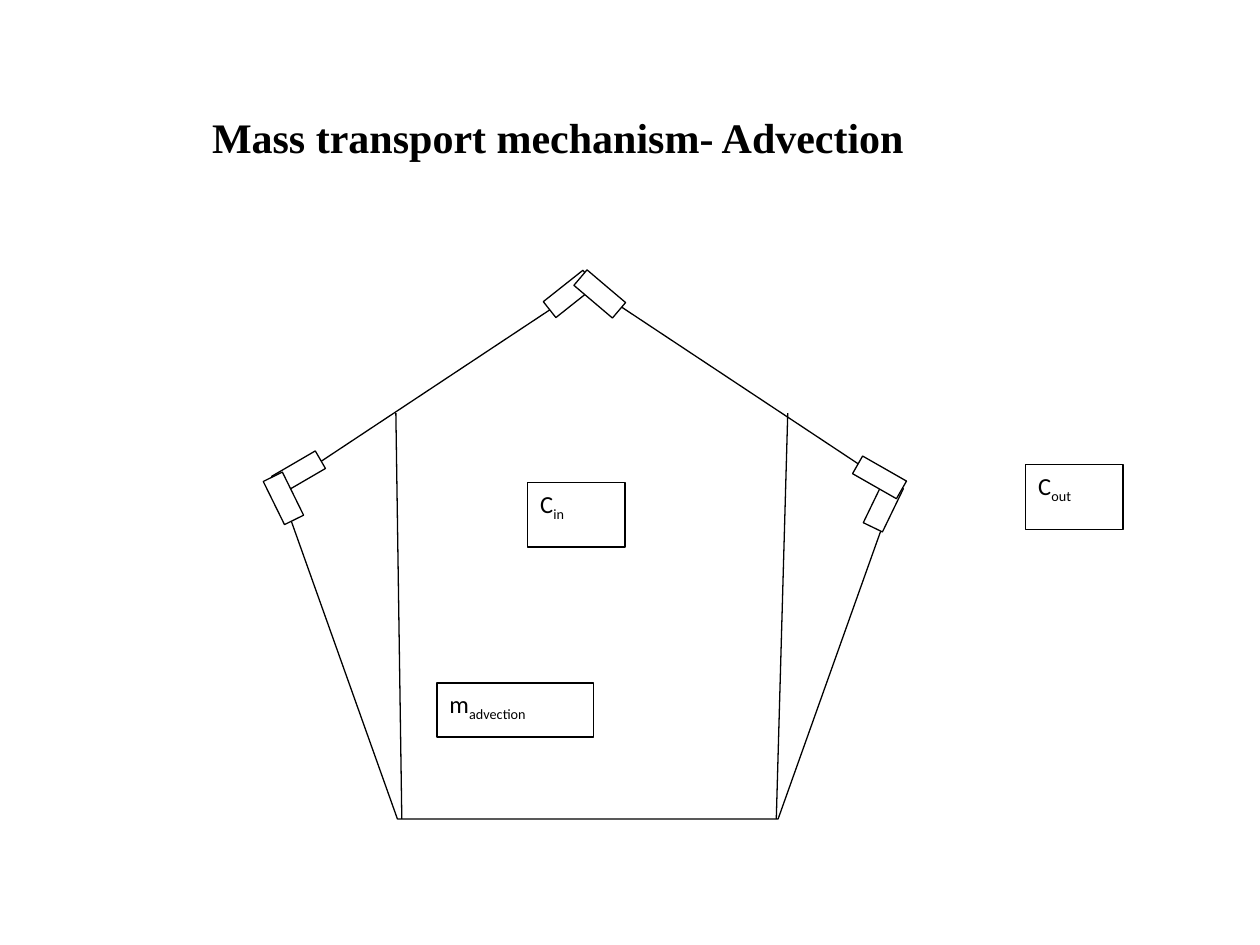
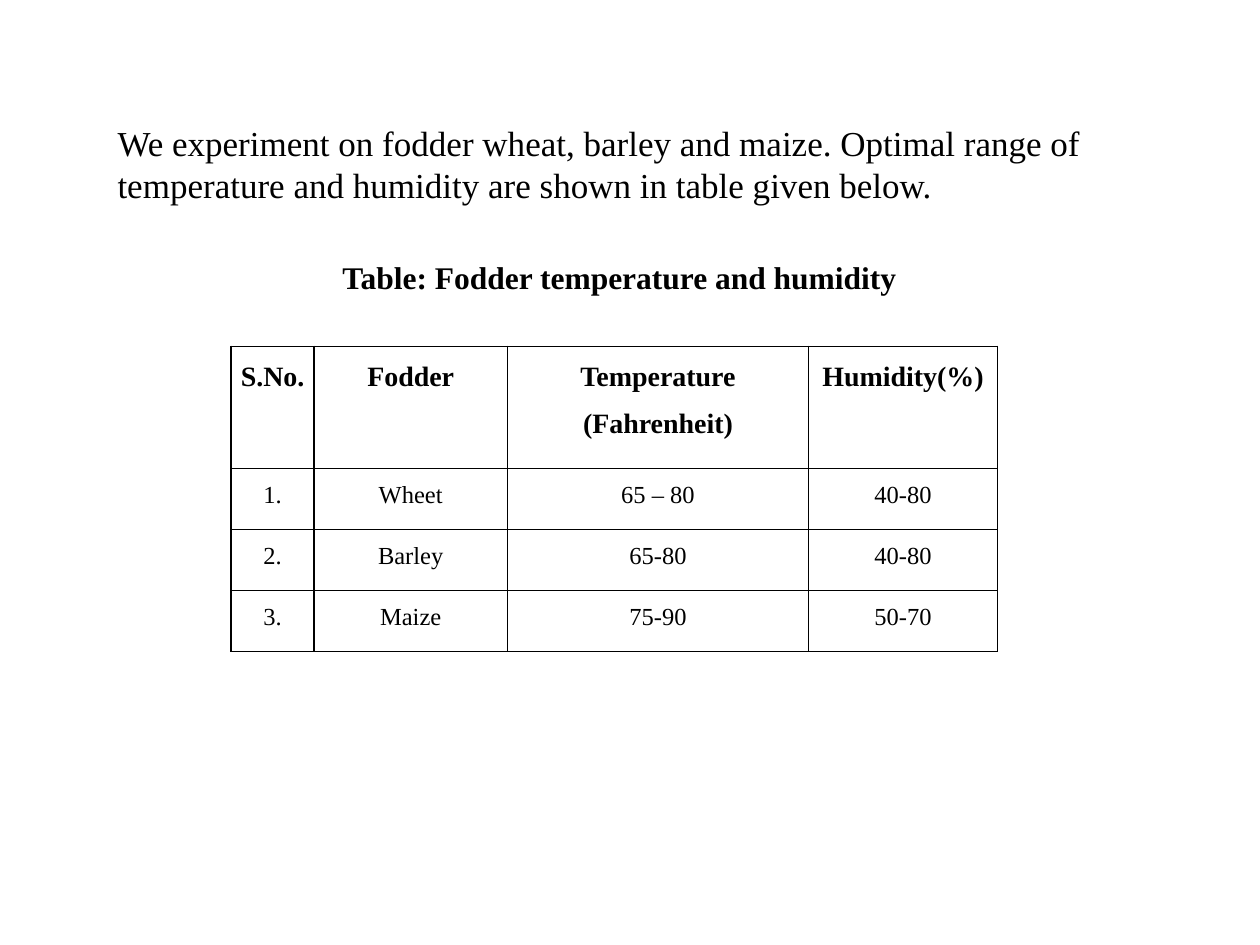
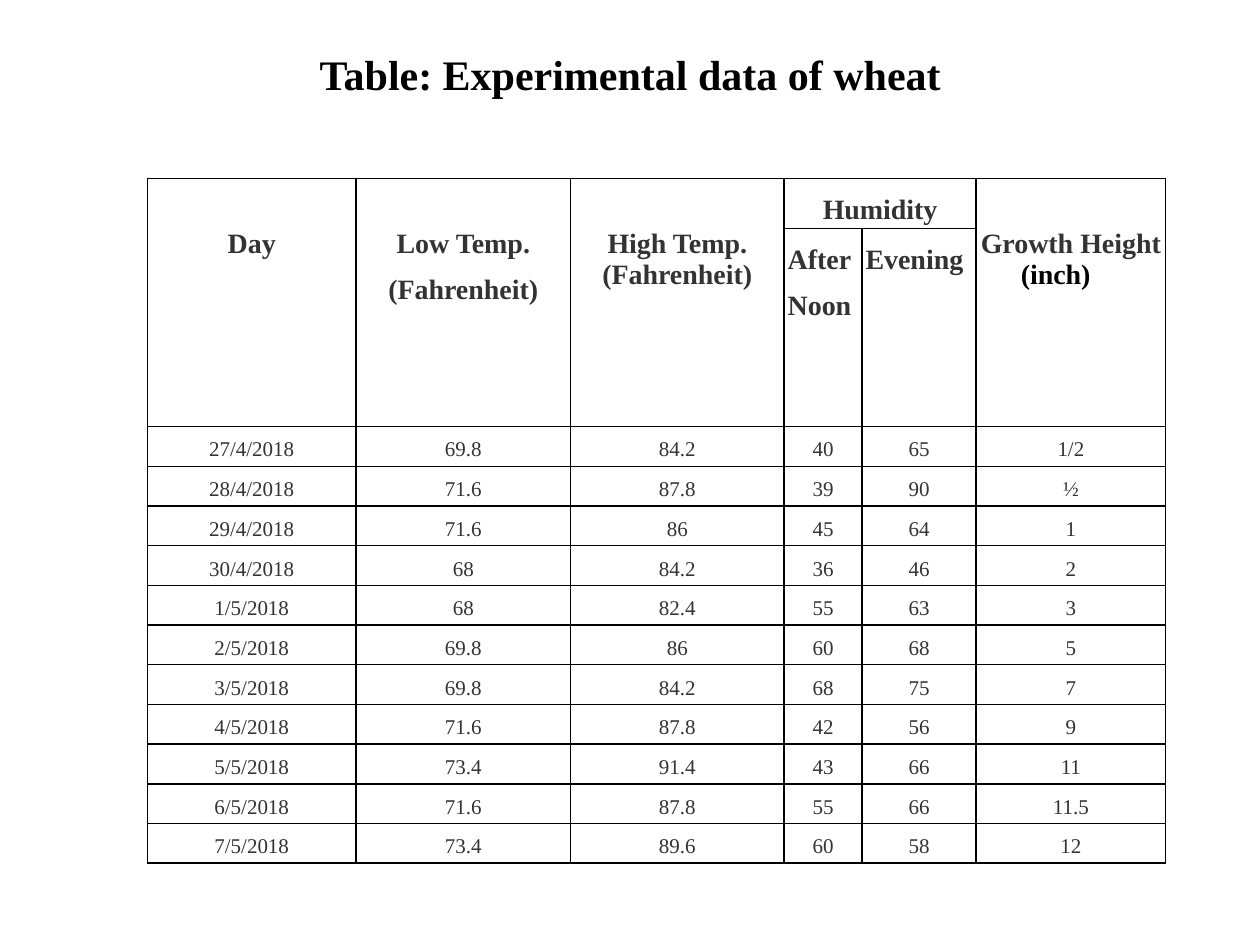
from lxml import etree
from pptx import Presentation
from pptx import util as u
from pptx.dml.color import RGBColor
from pptx.enum import shapes, text
from pptx.oxml.ns import qn

Cm, Pt = u.Cm, u.Pt
AL = text.PP_ALIGN
MS = shapes.MSO_SHAPE
BLACK, WHITE, GREY = "000000", "FFFFFF", "333333"
SERIF, SANS = "Times New Roman", "Calibri"


def rgb(value):
    return RGBColor.from_string(value)


def add_run(p, words, size, bold=False, color=BLACK, font=SERIF):
    r = p.add_run()
    r.text = words
    r.font.name = font
    r.font.size = Pt(size)
    r.font.bold = bold
    r.font.color.rgb = rgb(color)
    return r


def add_title(prs, words, box, size=24, align=AL.CENTER):
    slide = prs.slides.add_slide(prs.slide_layouts[5])
    sp = slide.shapes.title
    sp.left, sp.top, sp.width, sp.height = [Cm(v) for v in box]
    tf = sp.text_frame
    tf.word_wrap = True
    tf.auto_size = text.MSO_AUTO_SIZE.NONE
    tf.vertical_anchor = text.MSO_ANCHOR.TOP
    p = tf.paragraphs[0]
    p.alignment = align
    add_run(p, words, size, True)
    return slide


def outlined(slide, kind, x, y, w, h, rotation=0):
    sp = slide.shapes.add_shape(kind, Cm(x), Cm(y), Cm(w), Cm(h))
    sp.shadow.inherit = False
    sp.fill.solid()
    sp.fill.fore_color.rgb = rgb(WHITE)
    sp.line.color.rgb = rgb(BLACK)
    sp.line.width = Pt(0.75)
    sp.rotation = rotation
    return sp


def wall(slide, x1, y1, x2, y2):
    cx = slide.shapes.add_connector(
        shapes.MSO_CONNECTOR.STRAIGHT, Cm(x1), Cm(y1), Cm(x2), Cm(y2))
    cx.line.color.rgb = rgb(BLACK)
    cx.line.width = Pt(0.75)
    etree.SubElement(cx._element.spPr, qn("a:effectLst"))


def symbol(slide, letter, subscript, x, y, w, h):
    tf = outlined(slide, MS.RECTANGLE, x, y, w, h).text_frame
    tf.word_wrap = True
    tf.vertical_anchor = text.MSO_ANCHOR.TOP
    p = tf.paragraphs[0]
    p.alignment = AL.LEFT
    p.space_after = Pt(10)
    add_run(p, letter, 14, font=SANS)
    r = add_run(p, subscript, 14, font=SANS)
    r._r.get_or_add_rPr().set("baseline", "-25000")


def greenhouse(slide, x, y, w, h):
    outlined(slide, MS.REGULAR_PENTAGON, x, y, w, h)
    long_vent, short_vent = (1.02, 0.41), (0.97, 0.43)
    vents = [
        (-0.13, 3.58, long_vent, 329.8),
        (-0.41, 4.09, short_vent, 243.8),
        (5.33, -0.02, long_vent, 321.6),
        (5.94, -0.02, long_vent, 220.3),
        (11.68, 4.24, short_vent, 115.8),
        (11.58, 3.68, long_vent, 29.7),
    ]
    for dx, dy, size, rotation in vents:
        outlined(slide, MS.RECTANGLE, x + dx, y + dy, *size, rotation)
    for foot, top in [(2.46, 2.34), (10.01, 10.24)]:
        wall(slide, x + foot, y + h, x + top, y + 2.59)
    symbol(slide, "C", "in", x + 5, y + 3.99, 1.96, 1.3)
    symbol(slide, "m", "advection", x + 3.17, y + 8.03, 3.15, 1.09)


def add_grid(slide, x, y, cols, rows):
    gf = slide.shapes.add_table(len(rows), len(cols), Cm(x), Cm(y),
                                Cm(sum(cols)), Cm(sum(rows)))
    tbl = gf.table
    tbl.first_row = tbl.horz_banding = False
    for col, w in zip(tbl.columns, cols):
        col.width = Cm(w)
    for row, h in zip(tbl.rows, rows):
        row.height = Cm(h)
    for cell in tbl.iter_cells():
        tcPr = cell._tc.get_or_add_tcPr()
        for side in ("lnL", "lnR", "lnT", "lnB"):
            ln = etree.SubElement(tcPr, qn("a:" + side), w=str(Pt(1)))
            fill = etree.SubElement(ln, qn("a:solidFill"))
            etree.SubElement(fill, qn("a:srgbClr"), val=BLACK)
        cell.fill.background()
    return tbl


def fill_cell(cell, lines, size, bold=False, color=BLACK, side=0.17, top=0,
              align=AL.CENTER):
    cell.margin_left = cell.margin_right = Cm(side)
    cell.margin_top, cell.margin_bottom = Cm(top), 0
    for i, line in enumerate(lines):
        tf = cell.text_frame
        p = tf.add_paragraph() if i else tf.paragraphs[0]
        p.alignment = align
        p.line_spacing = 1.5
        add_run(p, line, size, bold, color)


def fodder_table(slide, x, y):
    data = [
        ("S.No.", "Fodder", "Temperature (Fahrenheit)", "Humidity(%)"),
        ("1.", "Wheet", "65 – 80", "40-80"),
        ("2.", "Barley", "65-80", "40-80"),
        ("3.", "Maize", "75-90", "50-70"),
    ]
    tbl = add_grid(slide, x, y, [1.67, 3.9, 6.07, 3.81], [2.46] + [1.23] * 3)
    for i, row in enumerate(data):
        for j, words in enumerate(row):
            fill_cell(tbl.cell(i, j), [words], 14 if i else 16, i == 0)


def wheat_table(slide, x, y):
    data = [
        ("27/4/2018", "69.8", "84.2", "40", "65", "1/2"),
        ("28/4/2018", "71.6", "87.8", "39", "90", "½"),
        ("29/4/2018", "71.6", "86", "45", "64", "1"),
        ("30/4/2018", "68", "84.2", "36", "46", "2"),
        ("1/5/2018", "68", "82.4", "55", "63", "3"),
        ("2/5/2018", "69.8", "86", "60", "68", "5"),
        ("3/5/2018", "69.8", "84.2", "68", "75", "7"),
        ("4/5/2018", "71.6", "87.8", "42", "56", "9"),
        ("5/5/2018", "73.4", "91.4", "43", "66", "11"),
        ("6/5/2018", "71.6", "87.8", "55", "66", "11.5"),
        ("7/5/2018", "73.4", "89.6", "60", "58", "12"),
    ]
    tbl = add_grid(slide, x, y, [4.21, 4.32, 4.31, 1.57, 2.3, 3.82],
                   [1.01, 3.99] + [0.8] * len(data))
    head = dict(size=16, bold=True, color=GREY, side=0.07)
    tall = {
        0: ["Day"],
        1: ["Low Temp.", "(Fahrenheit)"],
        2: ["High Temp.", "(Fahrenheit)"],
        5: ["Growth Height"],
    }
    for j, lines in tall.items():
        tbl.cell(0, j).merge(tbl.cell(1, j))
        fill_cell(tbl.cell(0, j), lines, top=0.69, **head)
    tbl.cell(0, 2).text_frame.paragraphs[1].line_spacing = 1.0
    p = tbl.cell(0, 5).text_frame.add_paragraph()
    p.alignment = AL.LEFT
    p._p.get_or_add_pPr().set("marL", str(Cm(0.83)))
    add_run(p, "(inch)", 16, True)

    tbl.cell(0, 3).merge(tbl.cell(0, 4))
    fill_cell(tbl.cell(0, 3), ["Humidity"], **head)
    for j, words in [(3, "After Noon"), (4, "Evening")]:
        fill_cell(tbl.cell(1, j), [words], align=AL.JUSTIFY, **head)

    for i, row in enumerate(data, 2):
        for j, words in enumerate(row):
            fill_cell(tbl.cell(i, j), [words], 12, color=GREY, side=0.07)


def advection_slide(prs):
    slide = add_title(prs, "Mass transport mechanism- Advection",
                      (4.02, 2.12, 19.48, 1.28), align=AL.LEFT)
    greenhouse(slide, 5.64, 5.74, 12.42, 10.77)
    symbol(slide, "C", "out", 20.68, 9.37, 1.96, 1.3)


def fodder_slide(prs):
    slide = add_title(prs, "Table: Fodder temperature and humidity",
                      (6.14, 5.08, 12.7, 1.03), size=18)
    fodder_table(slide, 4.66, 6.98)
    tf = slide.shapes.add_textbox(Cm(2.12), Cm(2.33), Cm(20.96),
                                  Cm(1.97)).text_frame
    tf.word_wrap = True
    add_run(tf.paragraphs[0],
            "We experiment on fodder wheat, barley and maize. Optimal range "
            "of temperature and humidity are shown in table given below.", 20)


def wheat_slide(prs):
    slide = add_title(prs, "Table: Experimental data of wheat",
                      (3.18, 0.85, 19.05, 1.28))
    wheat_table(slide, 2.97, 3.6)


def main():
    prs = Presentation()
    prs.slide_width, prs.slide_height = Cm(25.4), Cm(19.05)
    advection_slide(prs)
    fodder_slide(prs)
    wheat_slide(prs)
    prs.save("out.pptx")


if __name__ == "__main__":
    main()
